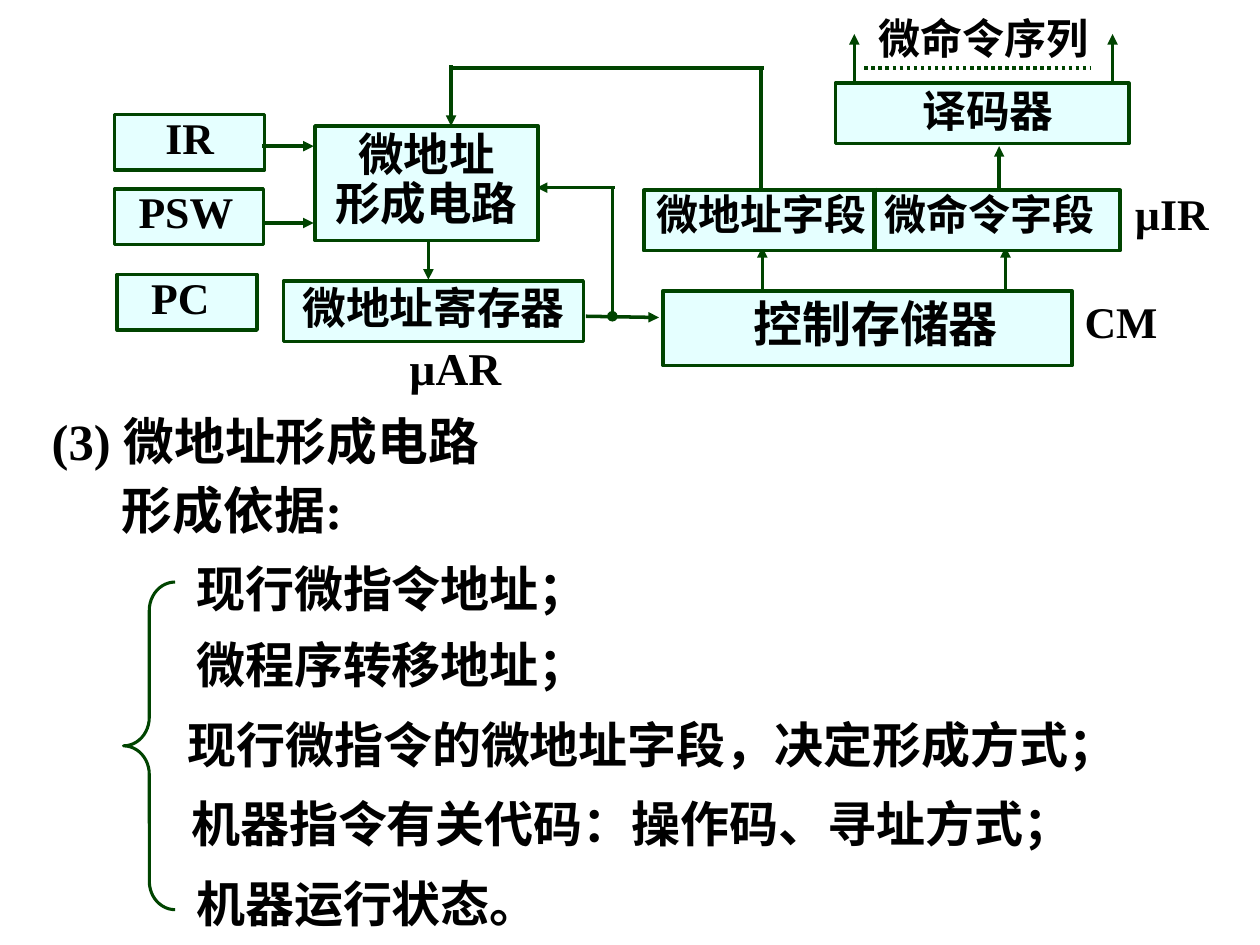
from dataclasses import dataclass
from typing import Any

from lxml.etree import SubElement
from pptx import Presentation
from pptx.dml.color import RGBColor
from pptx.enum.shapes import MSO_CONNECTOR as Connector, MSO_SHAPE as Shape
from pptx.enum.text import MSO_ANCHOR as Anchor, MSO_AUTO_SIZE as AutoSize, PP_ALIGN as Align
from pptx.oxml.ns import qn
from pptx.util import Inches, Pt


def color(value):
    """Turn a hex string into a colour."""
    return RGBColor.from_string(value)


def cells(*values):
    """Turn counts of grid cells, 100 columns by 75 rows, into lengths."""
    return [Inches(value / 10) for value in values]


def assign(target, values):
    """Set every attribute named in a dict of format values."""
    for name, value in values.items():
        setattr(target, name, value)


@dataclass
class Diagram:
    """Hold the style and the current slide."""

    slide: Any
    font: str = "Times New Roman"
    ink: str = "000000"
    edge: str = "004400"
    panel: str = "E5FFFF"

    def fill_text(self, shape, text, size, align=Align.LEFT, spacing=1.0, inset=1, tab=None):
        """Put formatted text into a shape."""
        frame = shape.text_frame
        left, right, top, bottom = cells(inset, 1, 0.5, 0.5)
        assign(frame, {
            "text": text, "word_wrap": True, "auto_size": AutoSize.NONE,
            "vertical_anchor": Anchor.TOP, "margin_left": left,
            "margin_right": right, "margin_top": top, "margin_bottom": bottom,
        })
        for paragraph in frame.paragraphs:
            if tab:
                stops = SubElement(paragraph._p.get_or_add_pPr(), qn("a:tabLst"))
                SubElement(stops, qn("a:tab"), pos=str(cells(tab)[0]), algn="l")
            assign(paragraph, {"alignment": align, "line_spacing": spacing})
            for run in paragraph.runs:
                assign(run.font, {"name": self.font, "size": Pt(size), "bold": True})
                run.font.color.rgb = color(self.ink)

    def title(self, place, text, size):
        """Place the title."""
        shape = self.slide.shapes.title
        assign(shape, dict(zip(("left", "top", "width", "height"), cells(*place))))
        self.fill_text(shape, text, size)

    def label(self, place, text, size, **layout):
        """Add free text."""
        self.fill_text(self.slide.shapes.add_textbox(*cells(*place)), text, size, **layout)

    def outline(self, line, width):
        """Style a line."""
        line.color.rgb = color(self.edge)
        line.width = Pt(width)

    def box(self, place, text="", size=25, **layout):
        """Add a filled block."""
        shape = self.slide.shapes.add_shape(Shape.RECTANGLE, *cells(*place))
        shape.shadow.inherit = False
        shape.fill.solid()
        shape.fill.fore_color.rgb = color(self.panel)
        self.outline(shape.line, 2)
        if text:
            self.fill_text(shape, text, size, **layout)

    def brace(self, place):
        """Add a left brace."""
        shape = self.slide.shapes.add_shape(Shape.LEFT_BRACE, *cells(*place))
        shape.shadow.inherit = False
        shape.fill.background()
        shape.adjustments[0] = 0.55
        self.outline(shape.line, 1.75)

    def line(self, start, end, width=2, **ends):
        """Add a line, with dash, headEnd or tailEnd when named."""
        connector = self.slide.shapes.add_connector(
            Connector.STRAIGHT, *cells(*start, *end))
        self.outline(connector.line, width)
        properties = connector._element.spPr
        line = properties.find(qn("a:ln"))
        for name, attribute in (("prstDash", "val"), ("headEnd", "type"), ("tailEnd", "type")):
            if name in ends:
                SubElement(line, qn(f"a:{name}"), {attribute: ends[name]})
        SubElement(properties, qn("a:effectLst"))

    def arrow(self, start, end):
        """Add an arrow."""
        self.line(start, end, tailEnd="triangle")


def main():
    """Build the slide."""
    presentation = Presentation()
    assign(presentation, {"slide_width": Inches(10), "slide_height": Inches(7.5)})
    diagram = Diagram(presentation.slides.add_slide(presentation.slide_layouts[5]))

    diagram.title((3.1, 32, 42, 5.8), "(3) 微地址形成电路", 29)
    diagram.label((8.7, 37.5, 21, 5.8), "形成依据:", 29)
    diagram.brace((9.8, 46.2, 4.1, 26))
    for left, top, text in (
        (14.6, 43.8, "现行微指令地址；"),
        (14.6, 49.9, "微程序转移地址；"),
        (13.9, 56.2, "现行微指令的微地址字段，决定形成方式；"),
        (14.2, 62.5, "机器指令有关代码：操作码、寻址方式；"),
        (14.6, 68.8, "机器运行状态。"),
    ):
        diagram.label((left, top, 80, 5.7), text, 28)

    centred = {"align": Align.CENTER, "spacing": 0.9}
    diagram.box((25, 10, 17.7, 9.1), "微地址\n形成电路", 26, **centred)
    diagram.box((22.5, 22.3, 23.8, 4.8), "微地址寄存器", **centred)
    diagram.box((66.3, 6.6, 23.3, 4.8), "译码器", inset=1.9, **centred)
    diagram.box((9.1, 9.1, 11.9, 4.4), "IR", align=Align.CENTER, spacing=0.8)
    diagram.box((9.1, 15, 11.8, 4.4), "PSW", spacing=0.8, inset=1.9)
    diagram.box((9.3, 21.8, 11.1, 4.4), "PC", spacing=0.8, inset=2.7)

    for place, text, size, inset in (
        ((30.6, 26.5, 13.3, 5.3), "µAR", 26, 1.9),
        ((85.1, 22.9, 8.8, 5.2), "CM", 25, 1),
        ((89.1, 14.3, 8.3, 5.2), "µIR", 25, 1),
        ((68.7, 0.5, 19.8, 5), "微命令序列", 24, 1),
    ):
        diagram.label(place, text, size, inset=inset)

    for column, start, end in (
        (79.8, 23.8, 19.6), (60.5, 23.8, 19.6), (79.3, 14.9, 11.6),
        (67.8, 6.5, 2.7), (88.3, 6.5, 2.7), (34, 19.2, 22.2), (35.8, 5.2, 10),
    ):
        diagram.arrow((column, start), (column, end))
    for row in (11.6, 17.7):
        diagram.arrow((20.8, row), (24.9, row))
    diagram.arrow((46.5, 25.1), (52.3, 25.2))
    diagram.arrow((48.8, 14.9), (42.6, 14.9))
    diagram.line((48.6, 25.1), (48.6, 14.9), headEnd="oval")
    diagram.line((68.6, 5.4), (86.6, 5.4), prstDash="sysDot")
    diagram.line((35.8, 5.4), (60.6, 5.4))
    diagram.line((60.4, 5.4), (60.4, 15.1))

    diagram.box((51.1, 15.1, 37.8, 4.8), "微地址字段\t微命令字段", 24, spacing=0.85, tab=18.1)
    diagram.line((69.4, 14.9), (69.4, 19.9), 2.5)
    diagram.box((52.6, 23.1, 32.5, 5.9))
    diagram.label((58.8, 22.8, 22.8, 5.7), "控制存储器", 28)

    presentation.save("out.pptx")


if __name__ == "__main__":
    main()
